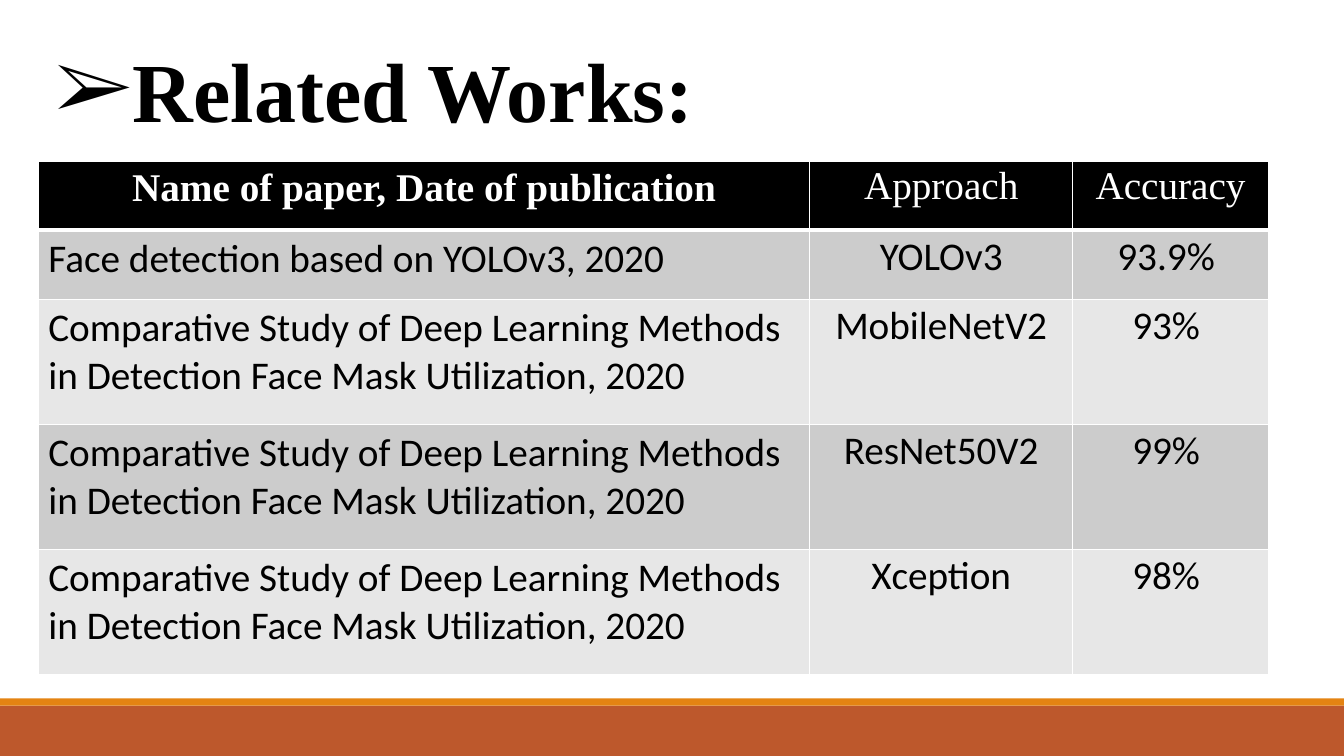
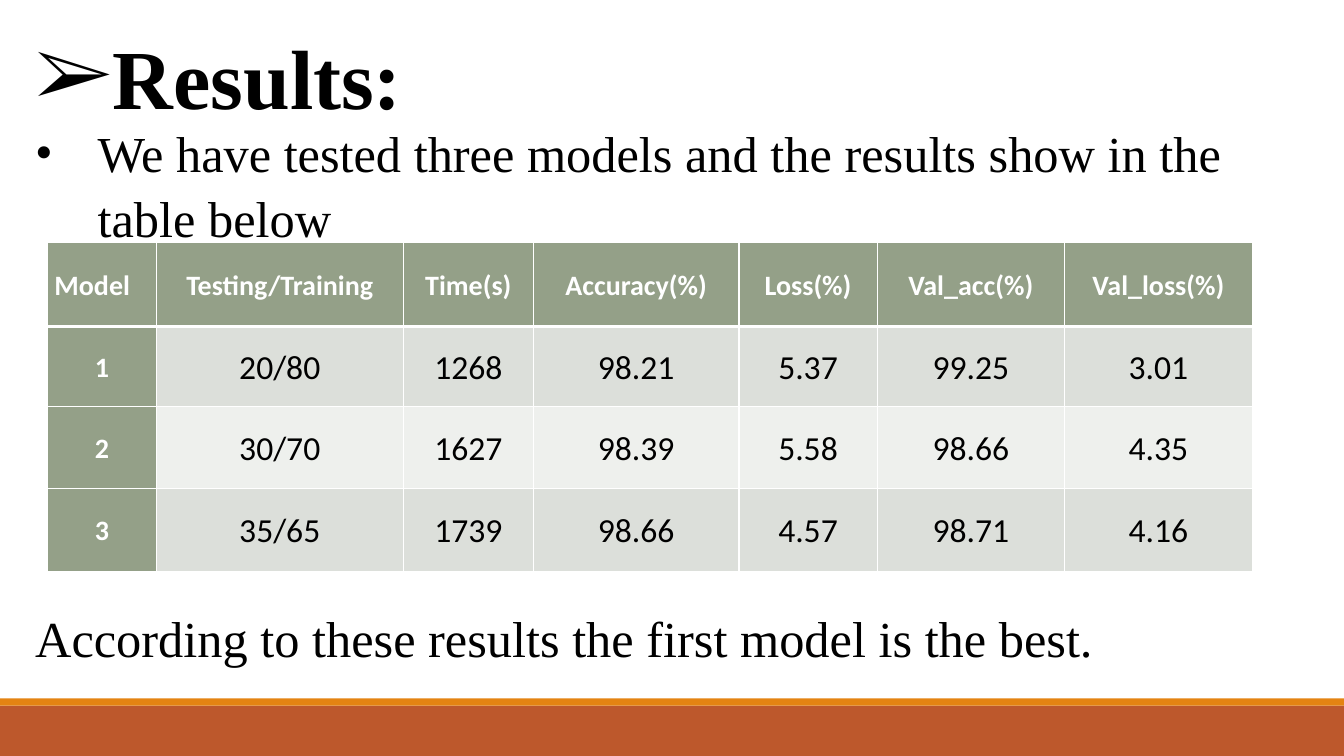
"""Build two slides on face mask detection: related works and results."""
from dataclasses import dataclass

from lxml import etree
from pptx import Presentation
from pptx.dml.color import RGBColor
from pptx.enum.shapes import MSO_SHAPE
from pptx.enum.text import MSO_ANCHOR, PP_ALIGN
from pptx.oxml.ns import qn
from pptx.util import Inches, Pt

RECTANGLE = MSO_SHAPE.RECTANGLE
TOP, MIDDLE = MSO_ANCHOR.TOP, MSO_ANCHOR.MIDDLE
LEFT, CENTER = PP_ALIGN.LEFT, PP_ALIGN.CENTER


@dataclass(frozen=True)
class Theme:
    """Colours, fonts and type sizes of the deck."""
    serif: str = "Times New Roman"
    sans: str = "Calibri"
    ink: str = "000000"
    paper: str = "FFFFFF"
    rust: str = "BD582C"
    orange: str = "E48312"
    sage: str = "94A088"
    gray_bands: tuple = ("CCCCCC", "E7E7E7")
    sage_bands: tuple = ("DCDFDA", "EEF0ED")
    title: int = 60
    body: int = 36
    large_cell: int = 28
    cell: int = 24
    label: int = 20
    loose: float = 1.07


THEME = Theme()
WIDTH, HEIGHT = 13.33, 7.5
BANDS = [(7, 0.5, THEME.rust), (6.93, 0.07, THEME.orange)]

STUDY = "Comparative Study of Deep Learning Methods in Detection Face Mask Utilization, 2020"
WORKS = [
    ("Name of paper, Date of publication", "Approach", "Accuracy"),
    ("Face detection based on YOLOv3, 2020", "YOLOv3", "93.9% "),
    (STUDY, "MobileNetV2", "93% "),
    (STUDY, "ResNet50V2", "99% "),
    (STUDY, "Xception", "98% "),
]
RESULTS = [
    ("Model", "Testing/Training", "Time(s)", "Accuracy(%)", "Loss(%)", "Val_acc(%)", "Val_loss(%)"),
    ("1", "20/80", "1268", "98.21", "5.37", "99.25", "3.01"),
    ("2", "30/70", "1627", "98.39", "5.58", "98.66", "4.35"),
    ("3", "35/65", "1739", "98.66", "4.57", "98.71", "4.16"),
]


def works_style(row, column):
    """Return the format of one related-works cell."""
    head, name = row == 0, column == 0
    return {
        "fill": THEME.ink if head else THEME.gray_bands[(row - 1) % 2],
        "font": {"name": THEME.serif if head else THEME.sans, "size": THEME.large_cell,
                 "color": THEME.paper if head else THEME.ink, "bold": head and name},
        "para": {"alignment": CENTER if head or not name else LEFT,
                 "line_spacing": 1.0 if name else THEME.loose},
        "margins": (0.1, 0.05) if name else (0.07, 0),
        "anchor": TOP,
    }


def results_style(row, column):
    """Return the format of one results cell."""
    label = row == 0 or column == 0
    return {
        "fill": THEME.sage if label else THEME.sage_bands[(row - 1) % 2],
        "font": {"name": THEME.sans, "size": THEME.label if label else THEME.cell,
                 "color": THEME.paper if label else THEME.ink, "bold": label},
        "para": {"alignment": LEFT if row == column == 0 else CENTER,
                 "line_spacing": THEME.loose},
        "margins": (0.07, 0),
        "anchor": MIDDLE,
    }


SLIDES = [
    {
        "texts": [{"text": "Related Works:", "at": (0.45, 0.33, 12.88, 1.11), "title": True,
                   "bullet": "➢", "indent": 0.38}],
        "table": {"rows": WORKS, "at": (0.38, 1.6), "widths": (7.65, 2.61, 1.94),
                  "heights": (0.68, 0.69, 1.24, 1.24, 1.24), "style": works_style},
    },
    {
        "texts": [
            {"text": "Results:", "at": (0.25, 0.2, 12.88, 1.11), "title": True,
             "bullet": "➢", "indent": 0.38},
            {"text": "We have tested three models and the results show in the table below",
             "at": (0.25, 1.12, 12.88, 1.3), "bullet": "•", "indent": 0.62},
            {"text": "According to these results the first model is the best.",
             "at": (0.25, 5.93, 12.88, 0.72)},
        ],
        "table": {"rows": RESULTS, "at": (0.47, 2.4),
                  "widths": (1.08, 2.45, 1.29, 2.04, 1.37, 1.86, 1.86),
                  "heights": (0.84, 0.79, 0.82, 0.82), "style": results_style},
    },
]


def write(para, text, font, layout):
    """Write one formatted span into a paragraph."""
    for key, value in layout.items():
        setattr(para, key, value)
    span = para.add_run()
    span.text = text
    span.font.color.rgb = RGBColor.from_string(font["color"])
    for key, value in {**font, "size": Pt(font["size"])}.items():
        if key != "color":
            setattr(span.font, key, value)


def add_bullet(para, mark, indent):
    """Give a paragraph a hanging bullet."""
    properties = para._p.get_or_add_pPr()
    properties.set("marL", str(Inches(indent)))
    properties.set("indent", str(-Inches(indent)))
    etree.SubElement(properties, qn("a:buFont"), typeface=THEME.serif)
    etree.SubElement(properties, qn("a:buChar"), char=mark)


def add_text(page, item):
    """Add a title or a body line."""
    frame = page.shapes.add_textbox(*map(Inches, item["at"])).text_frame
    frame.word_wrap = True
    title = item.get("title", False)
    font = {"name": THEME.serif, "size": THEME.title if title else THEME.body,
            "color": THEME.ink, "bold": title}
    para = frame.paragraphs[0]
    write(para, item["text"], font, {"line_spacing": 1.0 if title else THEME.loose})
    if "bullet" in item:
        add_bullet(para, item["bullet"], item["indent"])


def add_borders(cell, points):
    """Draw white rules on the sides of a cell."""
    properties = cell._tc.get_or_add_tcPr()
    for side, width in points.items():
        line = etree.SubElement(properties, qn(f"a:ln{side}"), w=str(Pt(width)))
        fill = etree.SubElement(line, qn("a:solidFill"))
        etree.SubElement(fill, qn("a:srgbClr"), val=THEME.paper)


def add_table(page, rows, at, widths, heights, style):
    """Add a table whose cells take their format from a style rule."""
    size = (sum(widths), sum(heights))
    table = page.shapes.add_table(len(rows), len(widths), *map(Inches, at + size)).table
    table.horz_banding = False
    for column, width in zip(table.columns, widths):
        column.width = Inches(width)
    for row, height in zip(table.rows, heights):
        row.height = Inches(height)
    for i, texts in enumerate(rows):
        for j, text in enumerate(texts):
            cell, look = table.cell(i, j), style(i, j)
            add_borders(cell, {"L": 1, "R": 1, "T": 3 if i == 1 else 1, "B": 3 if i == 0 else 1})
            cell.fill.solid()
            cell.fill.fore_color.rgb = RGBColor.from_string(look["fill"])
            cell.vertical_anchor = look["anchor"]
            across, down = map(Inches, look["margins"])
            cell.margin_left = cell.margin_right = across
            cell.margin_top = cell.margin_bottom = down
            write(cell.text_frame.paragraphs[0], text, look["font"], look["para"])


def add_master_bands(deck, page):
    """Place the footer bands on the slide master."""
    for top, height, color in BANDS:
        band = page.shapes.add_shape(RECTANGLE, *map(Inches, (0, top, WIDTH, height)))
        band.shadow.inherit = False
        band.fill.solid()
        band.fill.fore_color.rgb = RGBColor.from_string(color)
        band.line.fill.background()
        deck.slide_master.shapes.element.append(band.element)


def main():
    """Build and save the deck."""
    deck = Presentation()
    deck.slide_width, deck.slide_height = Inches(WIDTH), Inches(HEIGHT)
    pages = [deck.slides.add_slide(deck.slide_layouts[6]) for _ in SLIDES]
    add_master_bands(deck, pages[0])
    for page, content in zip(pages, SLIDES):
        for item in content["texts"]:
            add_text(page, item)
        add_table(page, **content["table"])
    deck.save("out.pptx")


if __name__ == "__main__":
    main()
